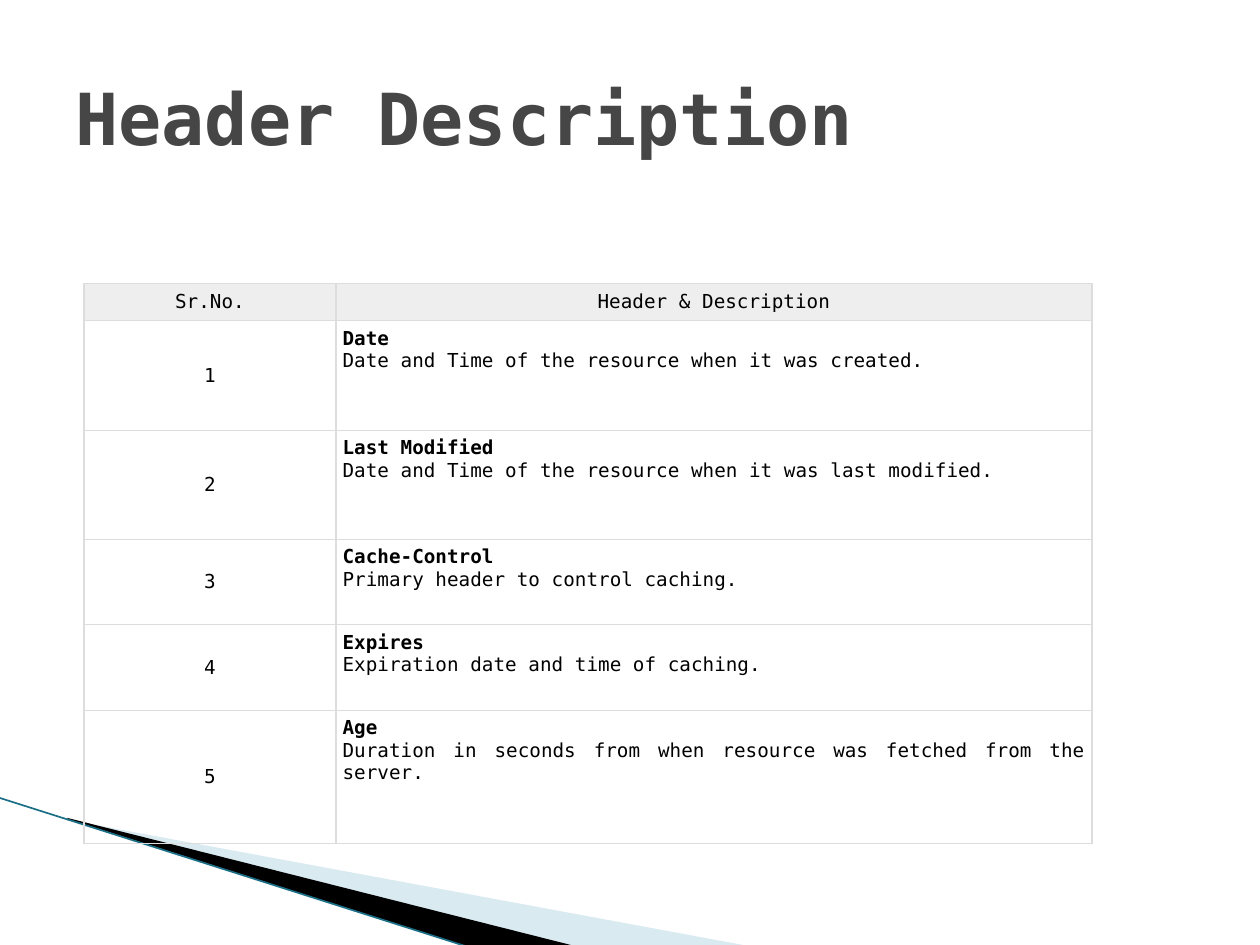
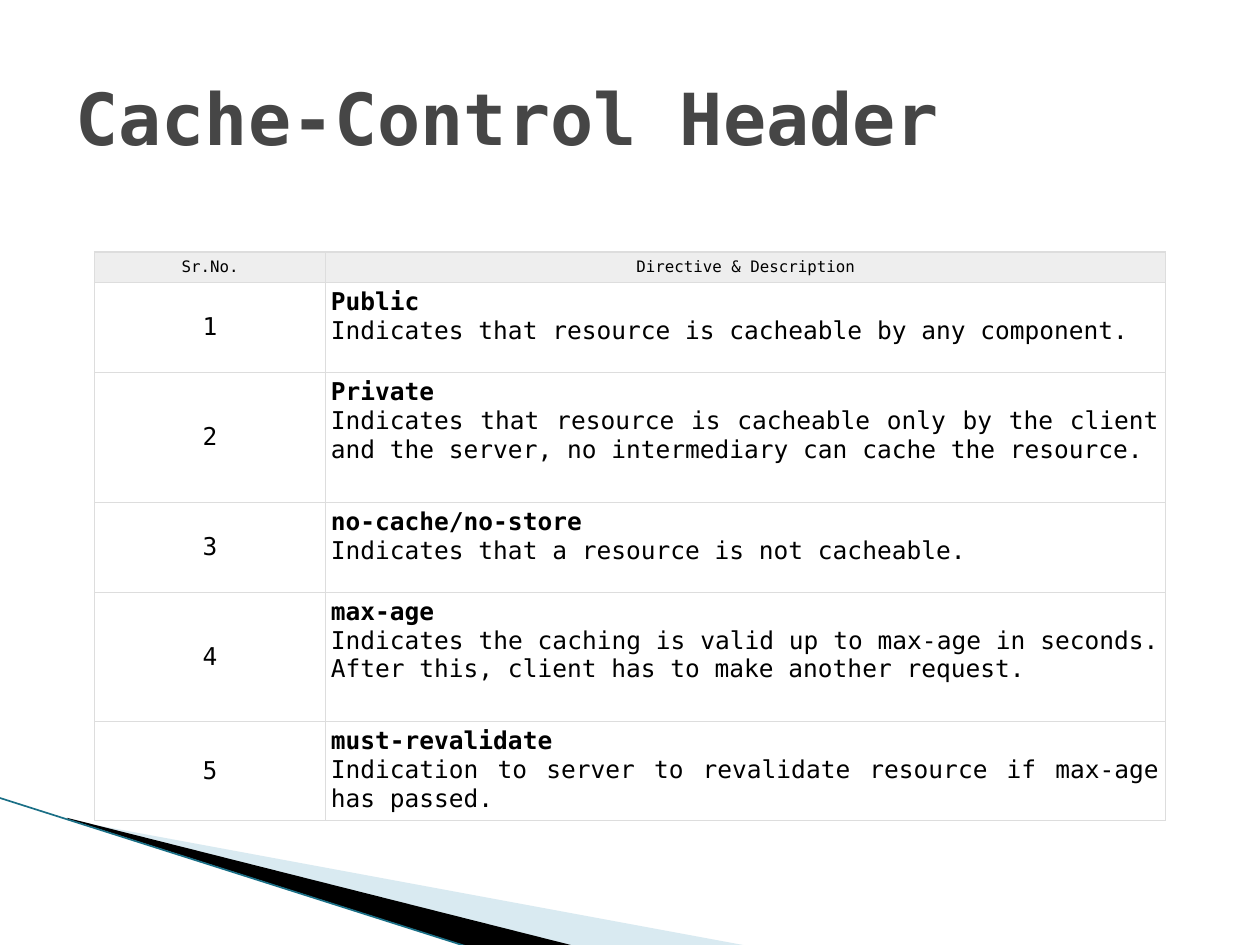
from dataclasses import dataclass
from lxml.etree import SubElement
from pptx import Presentation
from pptx.dml.color import RGBColor
from pptx.enum.shapes import MSO_CONNECTOR
from pptx.enum.text import MSO_ANCHOR, PP_ALIGN
from pptx.oxml.ns import qn
from pptx.util import Pt


@dataclass(frozen=True)
class Theme:
    font: str = "DejaVu Sans Mono"
    title_size: float = 41
    title: str = "464646"
    text: str = "000000"
    header_fill: str = "EEEEEE"
    border: str = "DDDDDD"
    border_width: float = 0.75
    wedge_light: str = "A0CBDC"
    wedge_light_alpha: int = 40
    wedge_dark: str = "000000"
    edge: str = "1A6F86"
    edge_width: float = 0.95


@dataclass(frozen=True)
class TableStyle:
    header_size: float
    body_size: float
    inset: float


THEME = Theme()
SLIDE_W, SLIDE_H = 720, 540
TITLE_BOX = (36, 21.6, 648, 90)
DECOR_BOX = (0, 455.8, 430, 86)


def rgb(value):
    return RGBColor.from_string(value)


def style_paragraph(p, size, color, bold=False, align=PP_ALIGN.LEFT):
    p.alignment = align
    p.font.name = THEME.font
    p.font.size = Pt(size)
    p.font.bold = bold
    p.font.color.rgb = rgb(color)


# Corner decoration: two wedges and a thin edge line
def set_frame(sp, frame):
    """Give a freeform its own frame while its outline stays in place."""
    left, top, width, height = map(Pt, frame)
    dx, dy = sp.left - left, sp.top - top
    outline = next(sp._element.iter(qn("a:path")))
    outline.set("w", str(width))
    outline.set("h", str(height))
    for pt in outline.iter(qn("a:pt")):
        pt.set("x", str(int(pt.get("x")) + dx))
        pt.set("y", str(int(pt.get("y")) + dy))
    sp.left, sp.top, sp.width, sp.height = left, top, width, height


def add_wedge(s, box, frame, points, color, alpha=100):
    x, y = box[:2]
    points = [(Pt(x + px), Pt(y + py)) for px, py in points]
    builder = s.shapes.build_freeform(*points[0])
    builder.add_line_segments(points[1:], close=True)
    sp = builder.convert_to_shape()
    set_frame(sp, (x + frame[0], y + frame[1], *frame[2:]))
    sp.shadow.inherit = False
    sp.line.fill.background()
    sp.fill.solid()
    sp.fill.fore_color.rgb = rgb(color)
    if alpha < 100:
        clr = sp.fill._xPr.find(qn("a:solidFill"))[0]
        SubElement(clr, qn("a:alpha"), val=str(alpha * 1000))


def add_decor(s, box):
    x, y = box[:2]
    add_wedge(s, box, (56.2, -62, 299.5, 113.8),
              [(39.6, 12.9), (428.4, 84.9), (328.3, 84.9), (39.6, 12.2)],
              THEME.wedge_light, THEME.wedge_light_alpha)
    add_wedge(s, box, (-4.3, 0, 299.5, 66.2),
              [(38.2, 11.5), (329, 84.9), (268.2, 85.3), (38.9, 12.2)],
              THEME.wedge_dark)
    edge = s.shapes.add_connector(MSO_CONNECTOR.STRAIGHT, Pt(x - 0.7), Pt(y),
                                  Pt(x + 267.4), Pt(y + 85.3))
    edge.line.color.rgb = rgb(THEME.edge)
    edge.line.width = Pt(THEME.edge_width)
    SubElement(edge._element.spPr, qn("a:effectLst"))


def add_title(s, box, text):
    tf = s.shapes.add_textbox(*map(Pt, box)).text_frame
    tf.word_wrap = True
    tf.vertical_anchor = MSO_ANCHOR.MIDDLE
    tf.text = text
    style_paragraph(tf.paragraphs[0], THEME.title_size, THEME.title, bold=True)


# Table: numbered rows, each with a bold term above its description
def set_borders(cell):
    tcPr = cell._tc.get_or_add_tcPr()
    for side in ("lnL", "lnR", "lnT", "lnB"):
        ln = SubElement(tcPr, qn(f"a:{side}"), w=str(Pt(THEME.border_width)))
        fill = SubElement(ln, qn("a:solidFill"))
        SubElement(fill, qn("a:srgbClr"), val=THEME.border)


def fill_cell(cell, lines, size, inset, align, anchor=MSO_ANCHOR.TOP, fill=None):
    set_borders(cell)
    if fill:
        cell.fill.solid()
        cell.fill.fore_color.rgb = rgb(fill)
    else:
        cell.fill.background()
    cell.margin_left = cell.margin_right = Pt(inset)
    cell.margin_top = cell.margin_bottom = Pt(inset)
    cell.vertical_anchor = anchor
    tf = cell.text_frame
    tf.text = "\n".join(lines)
    for i, p in enumerate(tf.paragraphs):
        style_paragraph(p, size, THEME.text, len(lines) > 1 and i == 0, align)


def add_definitions(s, box, columns, heights, heading, entries, style):
    frame = s.shapes.add_table(len(entries) + 1, 2, *map(Pt, box))
    table = frame.table
    table.first_row = table.horz_banding = False
    for column, width in zip(table.columns, columns):
        column.width = Pt(width)
    for row, height in zip(table.rows, heights):
        row.height = Pt(height)
    for col, text in enumerate(("Sr.No.", heading)):
        fill_cell(table.cell(0, col), [text], style.header_size, style.inset,
                  PP_ALIGN.CENTER, fill=THEME.header_fill)
    for row, entry in enumerate(entries, 1):
        fill_cell(table.cell(row, 0), [str(row)], style.body_size, style.inset,
                  PP_ALIGN.CENTER, MSO_ANCHOR.MIDDLE)
        fill_cell(table.cell(row, 1), entry, style.body_size, style.inset,
                  PP_ALIGN.JUSTIFY)


def add_table_slide(prs, title, **table):
    s = prs.slides.add_slide(prs.slide_layouts[6])
    add_decor(s, DECOR_BOX)
    add_title(s, TITLE_BOX, title)
    add_definitions(s, **table)


prs = Presentation()
prs.slide_width, prs.slide_height = Pt(SLIDE_W), Pt(SLIDE_H)

add_table_slide(
    prs, "Header Description",
    box=(48, 162, 576, 320),
    columns=(144, 432),
    heights=(21.3, 62.6, 62.4, 48.8, 48.9, 76),
    heading="Header & Description",
    entries=[
        ("Date", "Date and Time of the resource when it was created."),
        ("Last Modified", "Date and Time of the resource when it was last modified."),
        ("Cache-Control", "Primary header to control caching."),
        ("Expires", "Expiration date and time of caching."),
        ("Age", "Duration in seconds from when resource was fetched from the server."),
    ],
    style=TableStyle(header_size=11, body_size=11, inset=3.8))

add_table_slide(
    prs, "Cache-Control Header",
    box=(54, 144, 612, 320),
    columns=(132, 480),
    heights=(17.4, 51.4, 74.2, 51.4, 74, 51.4),
    heading="Directive & Description",
    entries=[
        ("Public", "Indicates that resource is cacheable by any component."),
        ("Private", "Indicates that resource is cacheable only by the client and "
                    "the server, no intermediary can cache the resource."),
        ("no-cache/no-store", "Indicates that a resource is not cacheable."),
        ("max-age", "Indicates the caching is valid up to max-age in seconds. "
                    "After this, client has to make another request."),
        ("must-revalidate", "Indication to server to revalidate resource if "
                            "max-age has passed."),
    ],
    style=TableStyle(header_size=9, body_size=14, inset=3.1))

prs.save("out.pptx")
